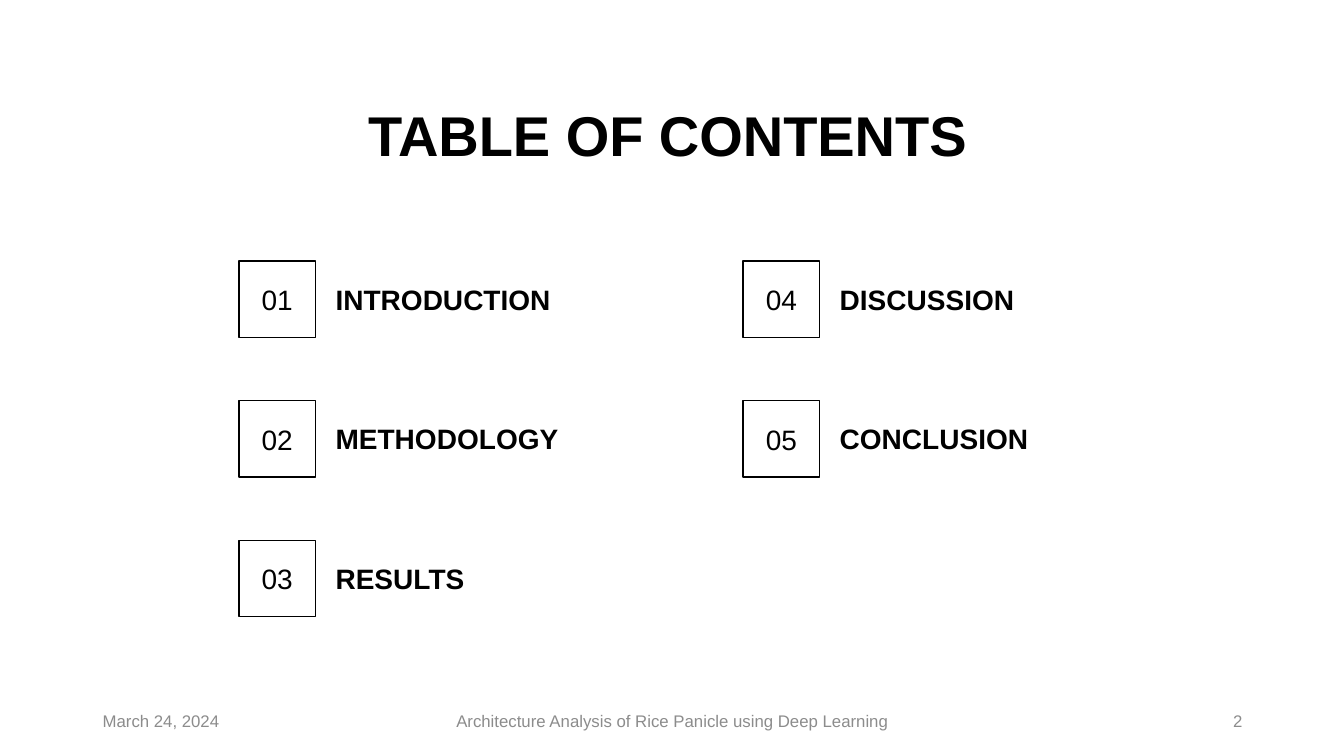
from pptx import Presentation
from pptx.dml.color import RGBColor
from pptx.enum.shapes import MSO_SHAPE
from pptx.enum.text import MSO_ANCHOR, MSO_AUTO_SIZE, PP_ALIGN
from pptx.util import Inches, Pt

RECT = MSO_SHAPE.RECTANGLE
MIDDLE, TOP = MSO_ANCHOR.MIDDLE, MSO_ANCHOR.TOP
LEFT, CENTER, RIGHT = PP_ALIGN.LEFT, PP_ALIGN.CENTER, PP_ALIGN.RIGHT
FIT_SHAPE, NO_FIT = MSO_AUTO_SIZE.SHAPE_TO_FIT_TEXT, MSO_AUTO_SIZE.NONE

BLACK = RGBColor(0x00, 0x00, 0x00)
WHITE = RGBColor(0xFF, 0xFF, 0xFF)
GREY = RGBColor(0x8C, 0x8C, 0x8C)
FONT = "Arial"

# Contents grid, in inches
GRID_LEFT, GRID_TOP = 2.37, 2.59
COL_STEP, ROW_STEP = 5, 1.385
ROWS = 3
BOX = 0.76
LABEL_GAP, LABEL_W, LABEL_H = 0.1, 2.57, 0.44

# Footer band, in inches
FOOTER_TOP, FOOTER_H = 6.95, 0.4

SECTIONS = ["INTRODUCTION", "METHODOLOGY", "RESULTS", "DISCUSSION", "CONCLUSION"]
FOOTERS = [
    ("March 24, 2024", 0.92, 3, LEFT),
    ("Architecture Analysis of Rice Panicle using Deep Learning", 4.42, 4.5, CENTER),
    ("2", 9.42, 3, RIGHT),
]


def write(sp, text, size, color=BLACK, bold=False, align=LEFT, anchor=MIDDLE):
    tf = sp.text_frame
    tf.word_wrap = True
    tf.vertical_anchor = anchor
    p = tf.paragraphs[0]
    p.alignment = align
    r = p.add_run()
    r.text = text
    r.font.name = FONT
    r.font.size = Pt(size)
    r.font.bold = bold
    r.font.color.rgb = color
    return tf


def add_title(s, text):
    sp = s.shapes.title
    sp.left, sp.top = Inches(3.55), Inches(0.99)
    sp.width, sp.height = Inches(6.23), Inches(0.77)
    tf = write(sp, text, 40, bold=True)
    tf.auto_size = NO_FIT
    tf.paragraphs[0].line_spacing = 0.9


def add_number_box(s, left, top, number):
    sp = s.shapes.add_shape(RECT, Inches(left), Inches(top), Inches(BOX), Inches(BOX))
    sp.shadow.inherit = False
    sp.fill.solid()
    sp.fill.fore_color.rgb = WHITE
    sp.line.color.rgb = BLACK
    sp.line.width = Pt(1)
    write(sp, f"{number:02d}", 20, align=CENTER)


def add_label(s, left, top, text):
    sp = s.shapes.add_textbox(Inches(left), Inches(top), Inches(LABEL_W), Inches(LABEL_H))
    tf = write(sp, text, 20, bold=True, anchor=TOP)
    tf.auto_size = FIT_SHAPE


def add_section(s, index, text):
    col, row = divmod(index, ROWS)
    left = GRID_LEFT + col * COL_STEP
    top = GRID_TOP + row * ROW_STEP
    add_number_box(s, left, top, index + 1)
    add_label(s, left + BOX + LABEL_GAP, top + (BOX - LABEL_H) / 2, text)


def add_footer(s, text, left, width, align):
    sp = s.shapes.add_textbox(Inches(left), Inches(FOOTER_TOP), Inches(width), Inches(FOOTER_H))
    write(sp, text, 12, GREY, align=align)


def main():
    prs = Presentation()
    prs.slide_width, prs.slide_height = Inches(13.33), Inches(7.5)
    s = prs.slides.add_slide(prs.slide_layouts[5])

    # Heading
    add_title(s, "TABLE OF CONTENTS")

    # Numbered sections, filled column by column
    for index, text in enumerate(SECTIONS):
        add_section(s, index, text)

    # Date, talk title and page number
    for footer in FOOTERS:
        add_footer(s, *footer)

    prs.save("out.pptx")


if __name__ == "__main__":
    main()
